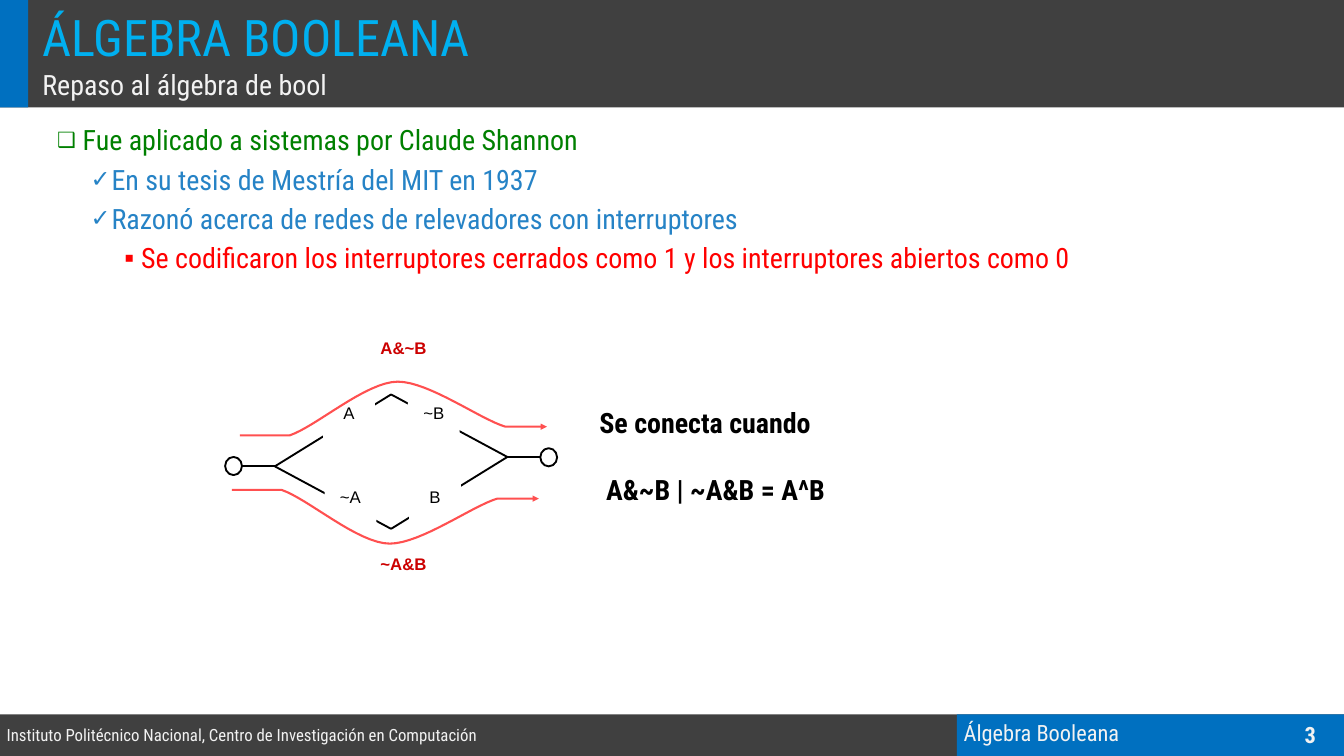
from lxml import etree
from pptx import Presentation
from pptx.dml.color import RGBColor
from pptx.enum.shapes import MSO_CONNECTOR, MSO_SHAPE
from pptx.enum.text import MSO_ANCHOR, MSO_AUTO_SIZE, PP_ALIGN
from pptx.oxml.ns import qn
from pptx.util import Pt

PX = 9144
RECTANGLE, OVAL = MSO_SHAPE.RECTANGLE, MSO_SHAPE.OVAL
STRAIGHT = MSO_CONNECTOR.STRAIGHT
TOP, MIDDLE = MSO_ANCHOR.TOP, MSO_ANCHOR.MIDDLE
LEFT, CENTER = PP_ALIGN.LEFT, PP_ALIGN.CENTER
FIXED = MSO_AUTO_SIZE.NONE

CONDENSED, ARIAL = "Roboto Condensed", "Arial"
BLACK, WHITE, PALE = "000000", "FFFFFF", "F2F2F2"
DARK, BLUE, CORAL, CRIMSON = "404040", "0070C0", "FF5050", "CC0000"

BARS = [
    ((0, 1063, 2000, 62), DARK),
    ((1424, 1063, 576, 62), BLUE),
    ((0, 0, 2000, 160), DARK),
    ((0, 0, 42, 160), BLUE),
]
LEVELS = [
    {"margin": 38, "indent": -38, "bullet": "❑", "percent": 75, "color": "008000"},
    {"margin": 81, "indent": -31, "bullet": "✓", "percent": 85, "color": "2683C6"},
    {"margin": 125, "indent": -25, "bullet": "▪", "percent": 100, "color": "FF0000"},
]
ITEMS = [
    (0, "Fue aplicado a sistemas por Claude Shannon"),
    (1, "En su tesis de Mestría del MIT en 1937"),
    (1, "Razonó acerca de redes de relevadores con interruptores"),
    (2, "Se codificaron los interruptores cerrados como 1 y los interruptores abiertos como 0"),
]
WIRES = [
    (409, 694, 582, 587), (409, 694, 582, 787),
    (582, 587, 755, 680), (582, 787, 755, 680),
    (755, 680, 804, 680), (360, 694, 409, 694),
]
SWITCHES = [("A", 481, 595), ("~A", 483, 720), ("~B", 607, 595), ("B", 609, 720)]
TERMINALS = [(335, 680), (804, 667)]
PATH_START, PATH_END = (357, 648), (814, 635)
PATH_CURVES = [
    ((431, 648), (470, 635), (545, 568), (592, 568)),
    ((592, 568), (638, 568), (715, 624), (752, 635)),
]
CURVE_STEPS = 16


def color(value):
    """Return the colour for a hex string."""
    return RGBColor.from_string(value)


def bezier(points, step):
    """Return the point of a cubic curve at a step from 0 to CURVE_STEPS."""
    t = step / CURVE_STEPS
    weights = ((1 - t) ** 3, 3 * t * (1 - t) ** 2, 3 * t ** 2 * (1 - t), t ** 3)
    return tuple(sum(w * p[axis] for w, p in zip(weights, points)) for axis in (0, 1))


def current_path():
    """Return the points of the upper current path."""
    points = [PATH_START, PATH_CURVES[0][0]]
    for curve in PATH_CURVES:
        points += [bezier(curve, step) for step in range(1, CURVE_STEPS + 1)]
    return points + [PATH_END]


class SlideBuilder:
    """Hold the text style and the current slide."""

    def __init__(self, slide):
        """Start with the default font on the given slide."""
        self.slide = slide
        self.font = {"name": CONDENSED, "size": 30, "bold": False}

    def apply(self, target, values):
        """Set every attribute in a dict of values."""
        for name, value in values.items():
            setattr(target, name, value)

    def add_text(self, paragraph, text, ink, layout=None, **font):
        """Add one formatted run to a paragraph."""
        run = paragraph.add_run()
        run.text = text
        values = {**self.font, **font}
        values["size"] = Pt(values["size"])
        self.apply(run.font, values)
        run.font.color.rgb = color(ink)
        self.apply(paragraph, layout or {})

    def placeholder(self, index, box, anchor=TOP):
        """Place a template placeholder in front and return its text frame."""
        shape = self.slide.placeholders[index]
        left, top, width, height = (value * PX for value in box)
        self.apply(shape, {"left": left, "top": top, "width": width, "height": height})
        shape.element.getparent().append(shape.element)
        frame = shape.text_frame
        self.apply(frame, {"vertical_anchor": anchor, "auto_size": FIXED, "word_wrap": True})
        return frame

    def heading(self, index, box, text, ink, size, anchor=TOP):
        """Fill a placeholder with one left-aligned line."""
        frame = self.placeholder(index, box, anchor)
        layout = {"alignment": LEFT, "line_spacing": 0.9, "space_before": Pt(0)}
        self.add_text(frame.paragraphs[0], text, ink, layout, size=size)

    def bullets(self, index, box, items):
        """Fill a placeholder with a bulleted list."""
        frame = self.placeholder(index, box)
        for number, (level, text) in enumerate(items):
            paragraph = frame.add_paragraph() if number else frame.paragraphs[0]
            style = LEVELS[level]
            self.add_text(paragraph, text, style["color"], {"level": level})
            properties = paragraph._p.get_or_add_pPr()
            properties.set("marL", str(style["margin"] * PX))
            properties.set("indent", str(style["indent"] * PX))
            for tag, name, value in (
                ("a:buSzPct", "val", str(style["percent"] * 1000)),
                ("a:buFont", "typeface", ARIAL),
                ("a:buChar", "char", style["bullet"]),
            ):
                etree.SubElement(properties, qn(tag)).set(name, value)

    def text_box(self, box, anchor=TOP, wrap=True, inset=10):
        """Add a text box and return its text frame."""
        frame = self.slide.shapes.add_textbox(*(value * PX for value in box)).text_frame
        self.apply(frame, {
            "vertical_anchor": anchor, "word_wrap": wrap,
            "margin_left": inset * PX, "margin_right": inset * PX,
        })
        return frame

    def outline(self, shape, ink, width):
        """Draw the line of a shape or connector."""
        shape.line.color.rgb = color(ink)
        shape.line.width = Pt(width)

    def shape(self, kind, box, fill, line=None):
        """Add a flat preset shape."""
        shape = self.slide.shapes.add_shape(kind, *(value * PX for value in box))
        shape.shadow.inherit = False
        shape.fill.solid()
        shape.fill.fore_color.rgb = color(fill)
        if line:
            self.outline(shape, line, 2)
        else:
            shape.line.fill.background()
        return shape

    def wire(self, ends):
        """Add a straight black connector."""
        connector = self.slide.shapes.add_connector(STRAIGHT, *(value * PX for value in ends))
        self.outline(connector, BLACK, 2)
        etree.SubElement(connector.element.spPr, qn("a:effectLst"))

    def arrow(self, points):
        """Add an open curve with an arrowhead at its end."""
        points = [(round(x * PX), round(y * PX)) for x, y in points]
        builder = self.slide.shapes.build_freeform(*points[0])
        builder.add_line_segments(points[1:], close=False)
        shape = builder.convert_to_shape()
        shape.shadow.inherit = False
        shape.fill.background()
        self.outline(shape, CORAL, 2.25)
        line = shape.element.spPr.find(qn("a:ln"))
        etree.SubElement(line, qn("a:tailEnd")).set("type", "triangle")


def main():
    """Build and save the slide."""
    presentation = Presentation()
    presentation.slide_width, presentation.slide_height = 2000 * PX, 1125 * PX
    slide = presentation.slides.add_slide(presentation.slide_layouts[4])
    unused = slide.placeholders[4].element
    unused.getparent().remove(unused)
    builder = SlideBuilder(slide)

    for box, fill in BARS:
        builder.shape(RECTANGLE, box, fill)
    builder.heading(0, (53, 14, 1371, 84), "ÁLGEBRA BOOLEANA", "00B0F0", 54)
    builder.heading(1, (53, 101, 1371, 49), "Repaso al álgebra de bool", PALE, 30)
    builder.heading(3, (1424, 1063, 476, 60), "Álgebra Booleana", PALE, 24, MIDDLE)
    institution = builder.text_box((0, 1063, 901, 60), MIDDLE)
    builder.add_text(institution.paragraphs[0],
                     "Instituto Politécnico Nacional, Centro de Investigación en Computación",
                     PALE, size=18)
    number = builder.text_box((1900, 1063, 100, 60), MIDDLE)
    builder.add_text(number.paragraphs[0], "3", PALE, {"alignment": CENTER}, size=24, bold=True)

    for ends in WIRES:
        builder.wire(ends)
    for text, left, top in SWITCHES:
        frame = builder.shape(RECTANGLE, (left, top, 77, 64), WHITE).text_frame
        frame.vertical_anchor = TOP
        builder.add_text(frame.paragraphs[0], text, BLACK, {"alignment": CENTER},
                         name=ARIAL, size=18)
    for left, top in TERMINALS:
        builder.shape(OVAL, (left, top, 25, 27), WHITE, BLACK)

    upper = current_path()
    builder.arrow(upper)
    builder.arrow([(x - 12, 1377 - y) for x, y in upper])
    for text, top in (("A&~B", 501), ("~A&B", 822)):
        frame = builder.text_box((542, top, 117, 60), wrap=False, inset=5)
        builder.add_text(frame.paragraphs[0], text, CRIMSON,
                         {"alignment": CENTER, "line_spacing": 0.9},
                         name=ARIAL, size=18, bold=True)

    result = builder.text_box((882, 599, 415, 263))
    builder.add_text(result.paragraphs[0], "Se conecta cuando", BLACK, bold=True)
    formula = result.add_paragraph()
    builder.add_text(formula, "A&~B | ~A&B = A^B", BLACK, {"space_before": Pt(35)}, bold=True)
    formula._p.get_or_add_pPr().set("marL", str(10 * PX))

    builder.bullets(2, (75, 178, 1892, 288), ITEMS)
    presentation.save("out.pptx")


if __name__ == "__main__":
    main()
